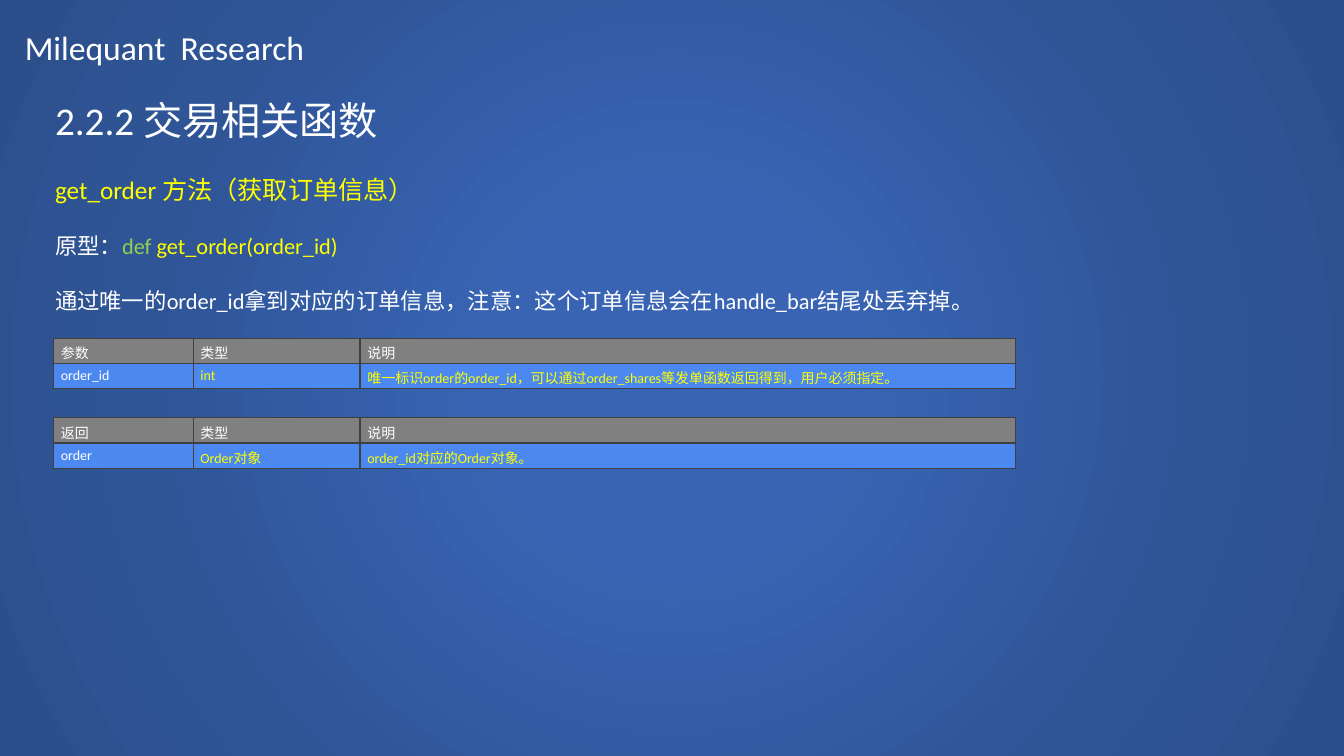
import dataclasses

import lxml.etree
import pptx
import pptx.dml.color
import pptx.enum.shapes
import pptx.enum.text
import pptx.oxml
import pptx.oxml.ns
import pptx.util

EMU_PER_PX = 9525
NS = pptx.oxml.ns.nsdecls("a")


@dataclasses.dataclass(frozen=True)
class Theme:
    """Colours and type sizes of the slide."""
    font: str = "Calibri"
    white: str = "FFFFFF"
    yellow: str = "FFFF00"
    green: str = "92D050"
    header: str = "808080"
    row: str = "4B89F0"
    border: str = "404040"
    glow: tuple = ((0, "3864B3"), (23, "3864B3"), (69, "2F5597"), (97, "2C4F8C"))
    title: int = 24
    heading: int = 28
    method: int = 18
    body: int = 16
    cell: int = 10


THEME = Theme()


def px(n):
    """Turn pixels into EMU."""
    return pptx.util.Emu(round(n * EMU_PER_PX))


def rgb(value):
    """Turn a hex string into a colour."""
    return pptx.dml.color.RGBColor.from_string(value)


def set_font(font, size, color):
    """Set face, size and colour of a font."""
    font.name = THEME.font
    font.size = pptx.util.Pt(size)
    font.color.rgb = rgb(color)


def add_background(slide, box):
    """Lay a radial gradient behind everything else."""
    sp = slide.shapes.add_shape(pptx.enum.shapes.MSO_SHAPE.RECTANGLE, *map(px, box))
    sp.shadow.inherit = False
    sp.line.fill.background()
    sp.fill.background()
    stops = "".join(f'<a:gs pos="{pos * 1000}"><a:srgbClr val="{color}"/></a:gs>'
                    for pos, color in THEME.glow)
    gradient = pptx.oxml.parse_xml(
        f'<a:gradFill {NS} rotWithShape="1"><a:gsLst>{stops}</a:gsLst><a:path path="circle">'
        '<a:fillToRect l="50000" t="50000" r="50000" b="50000"/></a:path></a:gradFill>')
    no_fill = sp._element.spPr.find(pptx.oxml.ns.qn("a:noFill"))
    sp._element.spPr.replace(no_fill, gradient)
    slide.shapes._spTree.insert(2, sp._element)


def add_title(slide, box, text):
    """Place the title at the top left."""
    sp = slide.shapes.title
    sp.left, sp.top, sp.width, sp.height = map(px, box)
    tf = sp.text_frame
    tf.text = text
    tf.vertical_anchor = pptx.enum.text.MSO_ANCHOR.TOP
    tf.auto_size = pptx.enum.text.MSO_AUTO_SIZE.NONE
    p = tf.paragraphs[0]
    p.alignment = pptx.enum.text.PP_ALIGN.LEFT
    set_font(p.font, THEME.title, THEME.white)


def add_description(slide, box, lines):
    """Write lines of (size, space before, coloured runs)."""
    tf = slide.shapes.add_textbox(*map(px, box)).text_frame
    tf.word_wrap = True
    for i, (size, space, runs) in enumerate(lines):
        p = tf.add_paragraph() if i else tf.paragraphs[0]
        p.space_before = pptx.util.Pt(space)
        for text, color in runs:
            r = p.add_run()
            r.text = text
            set_font(r.font, size, color)


def format_cell(cell, text, fill, color):
    """Fill, border and write one table cell."""
    cell.text = text
    cell.vertical_anchor = pptx.enum.text.MSO_ANCHOR.MIDDLE
    cell.margin_left = cell.margin_right = px(7)
    cell.margin_top = cell.margin_bottom = px(4)
    set_font(cell.text_frame.paragraphs[0].font, THEME.cell, color)
    tc_pr = cell._tc.get_or_add_tcPr()
    for side in ("lnL", "lnR", "lnT", "lnB"):
        tc_pr.append(pptx.oxml.parse_xml(
            f'<a:{side} {NS} w="12700"><a:solidFill><a:srgbClr val="{THEME.border}"/>'
            f'</a:solidFill></a:{side}>'))
    cell.fill.solid()
    cell.fill.fore_color.rgb = rgb(fill)


def add_field_table(slide, box, widths, rows):
    """Draw a grey header above blue rows."""
    table = slide.shapes.add_table(len(rows), len(widths), *map(px, box)).table
    for column, width in zip(table.columns, widths):
        column.width = px(width)
    for i, texts in enumerate(rows):
        table.rows[i].height = px(box[3] / len(rows))
        for j, text in enumerate(texts):
            fill = THEME.row if i else THEME.header
            color = THEME.yellow if i and j else THEME.white
            format_cell(table.cell(i, j), text, fill, color)


def main():
    """Build and save the slide."""
    prs = pptx.Presentation()
    prs.slide_width, prs.slide_height = px(1280), px(720)
    slide = prs.slides.add_slide(prs.slide_layouts[5])
    add_background(slide, (0, 0, 1280, 720))
    add_title(slide, (14, 21, 484, 48), "Milequant  Research")
    t = THEME
    add_description(slide, (43, 87, 1130, 249), [
        (t.heading, 0, [("2.2.2 交易相关函数", t.white)]),
        (t.method, 22, [("get_order 方法（获取订单信息）", t.yellow)]),
        (t.body, 20, [("原型：", t.white), ("def ", t.green),
                      ("get_order(order_id)", t.yellow)]),
        (t.body, 20, [("通过唯一的order_id拿到对应的订单信息，注意："
                       "这个订单信息会在handle_bar结尾处丢弃掉。", t.white)]),
    ])
    widths = (133, 159, 624)
    tables = [
        [("参数", "类型", "说明"),
         ("order_id", "int",
          "唯一标识order的order_id，可以通过order_shares等发单函数返回得到，用户必须指定。")],
        [("返回", "类型", "说明"),
         ("order", "Order对象", "order_id对应的Order对象。")],
    ]
    for i, rows in enumerate(tables):
        add_field_table(slide, (51, 322 + 76 * i, sum(widths), 46), widths, rows)
    prs.save("out.pptx")


if __name__ == "__main__":
    main()
